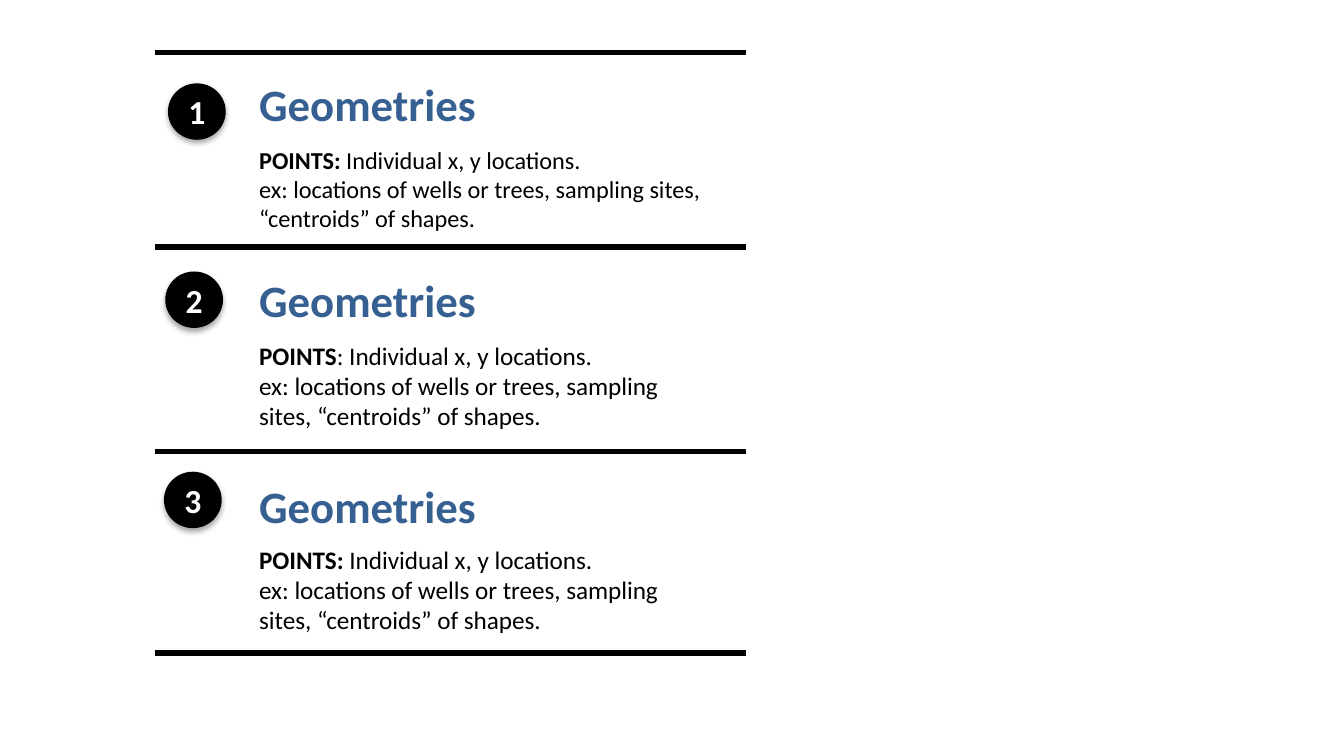
from dataclasses import dataclass
from itertools import pairwise

from lxml import etree
from pptx import Presentation
from pptx import util as u
from pptx.dml.color import RGBColor
from pptx.enum import shapes, text
from pptx.oxml import ns


@dataclass(frozen=True)
class Theme:
    """Hold the colours, font and type sizes."""
    font: str = "Calibri"
    ink: str = "000000"
    accent: str = "366092"
    paper: str = "FFFFFF"
    heading: float = 24
    badge: float = 18
    body: float = 13.5
    body_small: float = 13
    rule: float = 3


THEME = Theme()
LEFT, WIDTH = 1.15, 4.4
RULES = (0.39, 1.84, 3.36, 4.86)
EXAMPLE = "ex: locations of wells or trees, sampling sites, “centroids” of shapes."
SECTIONS = (
    dict(lead="POINTS: ", rest="Individual x, y locations.", size=THEME.body_small,
         badge=(0.1, 0.23), heading_y=0.13),
    dict(lead="POINTS", rest=": Individual x, y locations.", size=THEME.body,
         badge=(0.08, 0.18), heading_y=0.14),
    dict(lead="POINTS: ", rest="Individual x, y locations.", size=THEME.body,
         badge=(0.07, 0.15), heading_y=0.15),
)


def add_run(p, content, *, size, color=THEME.ink, bold=False):
    """Append a formatted run to a paragraph."""
    r = p.add_run()
    r.text = content
    r.font.name, r.font.size, r.font.bold = THEME.font, u.Pt(size), bold
    r.font.color.rgb = RGBColor.from_string(color)


def add_frame(s, x, y, w, h):
    """Add a wrapping text box and return its text frame."""
    tf = s.shapes.add_textbox(*map(u.Inches, (x, y, w, h))).text_frame
    tf.word_wrap = True
    return tf


def add_effects(sp, shadow=False):
    """Set an effect list on a shape, empty or with a soft drop shadow."""
    effects = etree.SubElement(sp._element.spPr, ns.qn("a:effectLst"))
    if shadow:
        outer = etree.SubElement(
            effects, ns.qn("a:outerShdw"), blurRad=str(u.Pt(3.1)),
            dist=str(u.Pt(1.8)), dir="5400000", rotWithShape="0")
        color = etree.SubElement(outer, ns.qn("a:srgbClr"), val=THEME.ink)
        etree.SubElement(color, ns.qn("a:alpha"), val="35000")


def add_rule(s, x, y, w):
    """Draw a horizontal rule."""
    line = s.shapes.add_connector(
        shapes.MSO_CONNECTOR.STRAIGHT, *map(u.Inches, (x, y, x + w, y)))
    line.line.width = u.Pt(THEME.rule)
    line.line.color.rgb = RGBColor.from_string(THEME.ink)
    add_effects(line)


def add_badge(s, x, y, number):
    """Draw a numbered disc with a shadow."""
    sp = s.shapes.add_shape(
        shapes.MSO_SHAPE.OVAL, *map(u.Inches, (x, y, 0.43, 0.42)))
    sp.fill.solid()
    sp.fill.fore_color.rgb = RGBColor.from_string(THEME.ink)
    sp.line.fill.background()
    add_effects(sp, shadow=True)
    tf = sp.text_frame
    tf.margin_left = tf.margin_right = tf.margin_top = tf.margin_bottom = 0
    tf.vertical_anchor = text.MSO_ANCHOR.MIDDLE
    p = tf.paragraphs[0]
    p.alignment = text.PP_ALIGN.CENTER
    add_run(p, str(number), size=THEME.badge, color=THEME.paper, bold=True)


def add_section(s, x, y, w, h, number, *, lead, rest, size, badge, heading_y):
    """Place a badge, heading and description within a box."""
    text_x, body_y = x + 0.68, 0.64
    tf = add_frame(s, text_x, y + heading_y, 1.87, 0.5)
    add_run(tf.paragraphs[0], "Geometries", size=THEME.heading,
            color=THEME.accent, bold=True)
    tf = add_frame(s, text_x, y + body_y, w - 0.82, h - body_y - 0.06)
    p = tf.paragraphs[0]
    add_run(p, lead, size=size, bold=True)
    add_run(p, rest, size=size)
    add_run(tf.add_paragraph(), EXAMPLE, size=size)
    add_badge(s, x + badge[0], y + badge[1], number)


def main():
    """Build and save the slide."""
    prs = Presentation()
    prs.slide_width, prs.slide_height = u.Inches(10), u.Inches(10 * 9 / 16)
    s = prs.slides.add_slide(prs.slide_layouts.get_by_name("Blank"))
    for number, ((top, bottom), section) in enumerate(zip(pairwise(RULES), SECTIONS), 1):
        add_section(s, LEFT, top, WIDTH, bottom - top, number, **section)
    for y in RULES:
        add_rule(s, LEFT, y, WIDTH)
    prs.save("out.pptx")


if __name__ == "__main__":
    main()
